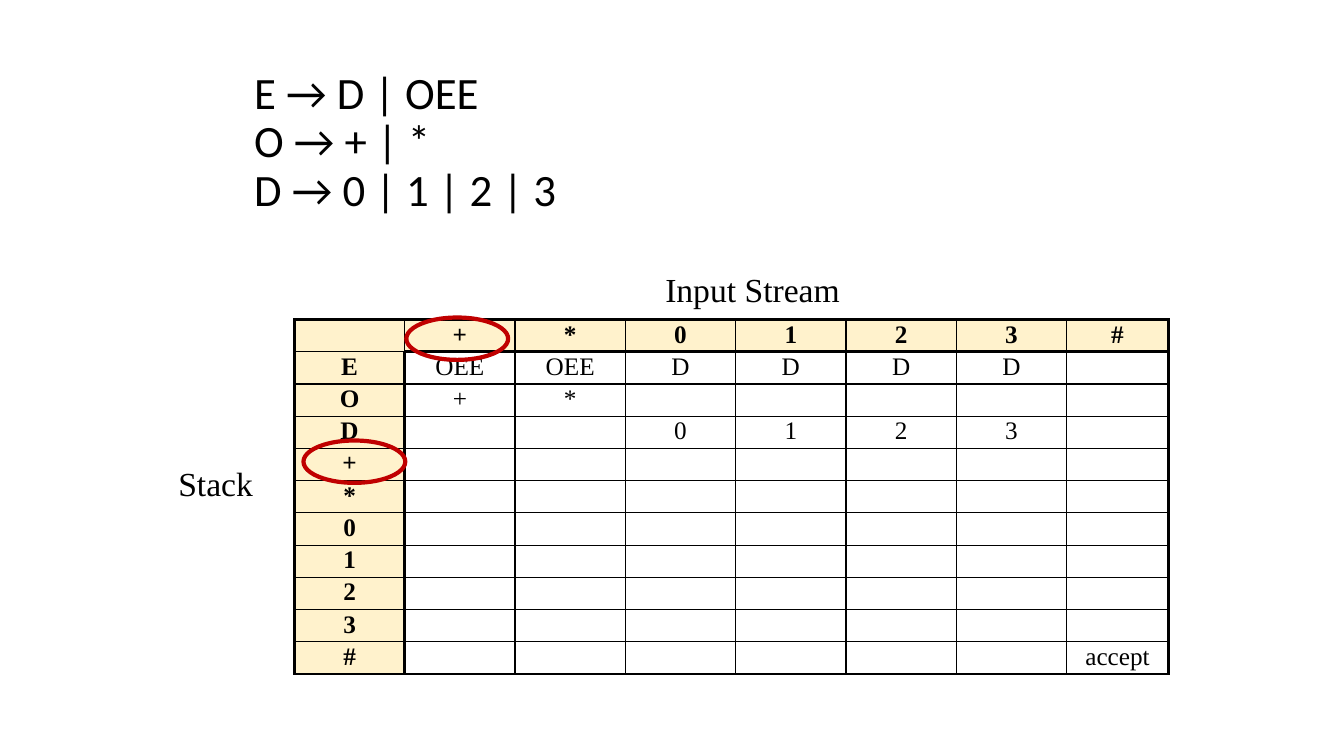
from lxml.etree import SubElement
from pptx import Presentation
from pptx.dml.color import RGBColor
from pptx.enum.shapes import MSO_SHAPE
from pptx.enum.text import MSO_ANCHOR, MSO_AUTO_SIZE, PP_ALIGN
from pptx.oxml.ns import qn
from pptx.util import Inches, Pt

BLACK, CREAM, RED = "000000", "FFF2CC", "C00000"
SERIF = "Times New Roman"
THIN, THICK = 1, 2.25

GRAMMAR = ["E → D | OEE", "O → + | *", "D → 0 | 1 | 2 | 3"]
INPUTS = "+*0123#"
STACK = "EOD+*0123#"
ACTIONS = {
    "E": dict(zip(INPUTS, ["OEE", "OEE", "D", "D", "D", "D"])),
    "O": {symbol: symbol for symbol in "+*"},
    "D": {symbol: symbol for symbol in "0123"},
    "#": {"#": "accept"},
}


def rgb(value):
    return RGBColor.from_string(value)


def write(tf, text, size=18, font=SERIF, color=BLACK, bold=False,
          align=PP_ALIGN.LEFT, spacing=None):
    p = tf.paragraphs[0]
    p.text = text
    p.alignment = align
    p.line_spacing = spacing
    for r in p.runs:
        r.font.size = Pt(size)
        r.font.name = font
        r.font.bold = bold
        r.font.color.rgb = rgb(color)


def add_title(s, lines, left, top, width, height):
    title = s.shapes.title
    title.left, title.top = Inches(left), Inches(top)
    title.width, title.height = Inches(width), Inches(height)
    tf = title.text_frame
    tf.auto_size = MSO_AUTO_SIZE.NONE
    tf.vertical_anchor = MSO_ANCHOR.MIDDLE
    write(tf, "\v".join(lines), size=32, font="Calibri", spacing=0.9)


def add_label(s, text, left, top, width):
    box = s.shapes.add_textbox(Inches(left), Inches(top), Inches(width), Inches(0.5))
    tf = box.text_frame
    tf.word_wrap = True
    tf.margin_top, tf.margin_bottom = Inches(0.09), Inches(0.01)
    write(tf, text, size=24)


def add_ring(s, left, top):
    ring = s.shapes.add_shape(MSO_SHAPE.OVAL, Inches(left), Inches(top),
                              Inches(1.01), Inches(0.42))
    ring.shadow.inherit = False
    ring.fill.background()
    ring.line.color.rgb = rgb(RED)
    ring.line.width = Pt(3)


def set_borders(cell, **widths):
    tc_pr = cell._tc.get_or_add_tcPr()
    for side in "LRTB":
        ln = SubElement(tc_pr, qn(f"a:ln{side}"), w=str(Pt(widths[side])))
        fill = SubElement(ln, qn("a:solidFill"))
        SubElement(fill, qn("a:srgbClr"), val=BLACK)


def format_cell(cell, text, header):
    cell.margin_left = cell.margin_right = Inches(0.1)
    cell.margin_top = cell.margin_bottom = Inches(0.01)
    if header:
        cell.fill.solid()
        cell.fill.fore_color.rgb = rgb(CREAM)
    else:
        cell.fill.background()
    if text:
        write(cell.text_frame, text, bold=header, align=PP_ALIGN.CENTER)
    else:
        # Keep empty cells from stretching their row
        SubElement(cell.text_frame.paragraphs[0]._p, qn("a:endParaRPr"), sz="1200")


def add_parse_table(s, left, top, width, height):
    grid = [["", *INPUTS]]
    grid += [[state] + [ACTIONS.get(state, {}).get(symbol, "") for symbol in INPUTS]
             for state in STACK]
    n_rows, n_cols = len(grid), len(grid[0])
    table = s.shapes.add_table(n_rows, n_cols, Inches(left), Inches(top),
                               Inches(width), Inches(height)).table
    table.first_row = table.horz_banding = False

    # The last column is narrower than the others
    last = 1.01
    for col in table.columns:
        col.width = Inches((width - last) / (n_cols - 1))
    table.columns[n_cols - 1].width = Inches(last)

    # Thick lines frame the table and the action area inside the headers
    def row_line(i, j):
        return THICK if i in (0, n_rows) or (i == 1 and j > 0) else THIN

    def col_line(i, j):
        return THICK if j in (0, n_cols) or (j == 1 and i > 0) else THIN

    for i, row in enumerate(grid):
        for j, text in enumerate(row):
            cell = table.cell(i, j)
            set_borders(cell, L=col_line(i, j), R=col_line(i, j + 1),
                        T=row_line(i, j), B=row_line(i + 1, j))
            format_cell(cell, text, header=i == 0 or j == 0)


def main():
    prs = Presentation()
    prs.slide_width, prs.slide_height = Inches(13.33), Inches(7.5)
    s = prs.slides.add_slide(prs.slide_layouts[5])

    # Grammar
    add_title(s, GRAMMAR, 2.42, 0.42, 4.67, 2)

    # Parse table and its axis labels
    add_parse_table(s, 2.92, 3.17, 8.67, 3.52)
    add_label(s, "Stack", 1.67, 4.5, 1.25)
    add_label(s, "Input Stream", 6.5, 2.58, 2.17)

    # Rings around the matching stack and input symbols
    add_ring(s, 3.01, 4.37)
    add_ring(s, 4.03, 3.15)

    prs.save("out.pptx")


if __name__ == "__main__":
    main()
